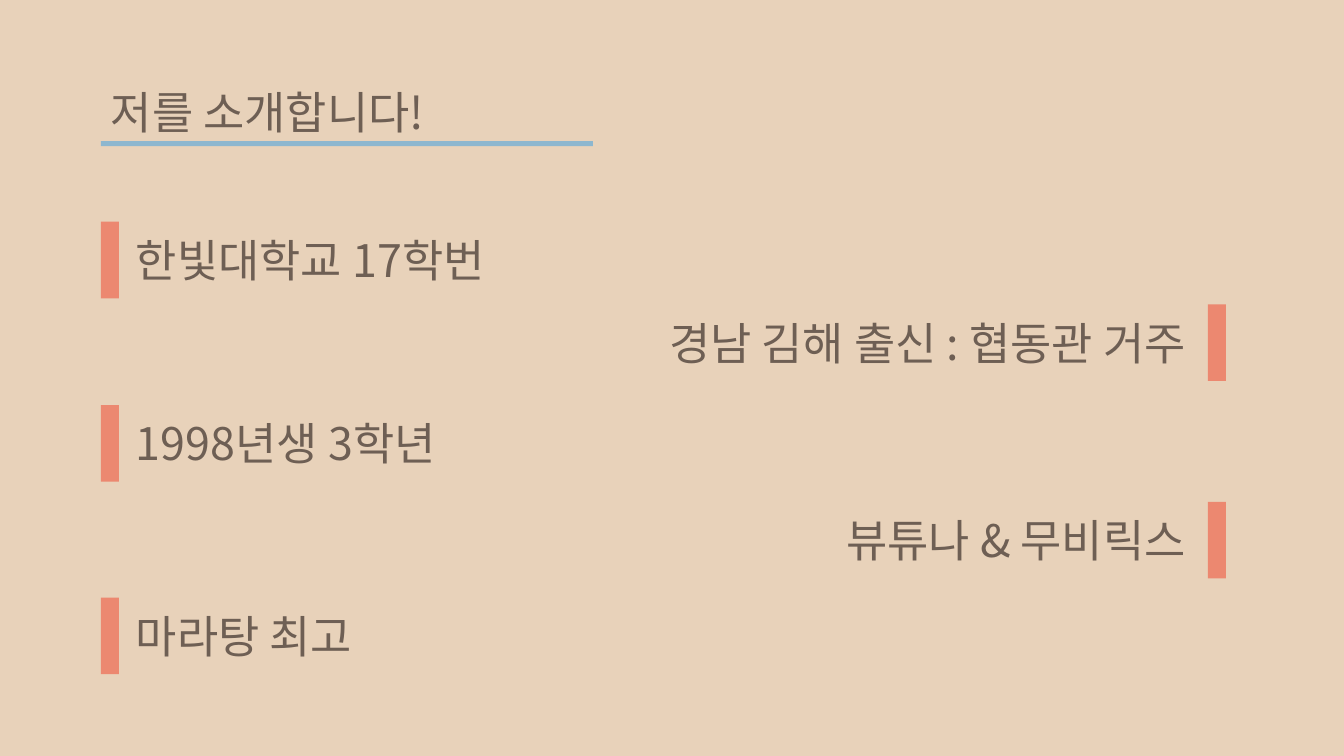
from lxml import etree
from pptx import Presentation
from pptx.dml.color import RGBColor
from pptx.enum.shapes import MSO_SHAPE
from pptx.enum.text import MSO_ANCHOR, MSO_AUTO_SIZE, PP_ALIGN
from pptx.oxml.ns import qn
from pptx.util import Pt

RECT = MSO_SHAPE.RECTANGLE
TOP = MSO_ANCHOR.TOP
NO_FIT = MSO_AUTO_SIZE.NONE
LEFT, RIGHT = PP_ALIGN.LEFT, PP_ALIGN.RIGHT

SCALE = 9144
FONT = "Noto Sans CJK KR"
SAND, CORAL, BLUE, BROWN = "E8D2BA", "EC8870", "8DB7CF", "6E5F54"
TEXT_H = 64
BAR_W, BAR_H = 18, 76

FACTS = [
    ("한빛대학교 17학번", 220, LEFT),
    ("경남 김해 출신 : 협동관 거주", 302, RIGHT),
    ("1998년생 3학년", 402, LEFT),
    ("뷰튜나 & 무비릭스", 498, RIGHT),
    ("마라탕 최고", 593, LEFT),
]


def px(n):
    """Turn px into EMU."""
    return n * SCALE


def paint(fill, color):
    """Give a fill one solid colour."""
    fill.solid()
    fill.fore_color.rgb = RGBColor.from_string(color)


def add_bar(slide, x, y, w, h, color):
    """Draw a plain filled rectangle."""
    sp = slide.shapes.add_shape(RECT, px(x), px(y), px(w), px(h))
    sp.shadow.inherit = False
    paint(sp.fill, color)
    sp.line.fill.background()


def write(sp, text, align=LEFT):
    """Write one formatted line into a shape."""
    tf = sp.text_frame
    tf.text = text
    tf.word_wrap = True
    tf.auto_size = NO_FIT
    tf.vertical_anchor = TOP
    p = tf.paragraphs[0]
    p.alignment = align
    p.line_spacing = 1.0
    p.space_before = Pt(0)
    for r in p.runs:
        r.font.size = Pt(32)
        r.font.name = FONT
        paint(r.font.fill, BROWN)
        etree.SubElement(r.font._element, qn("a:ea"), typeface=FONT)


def add_title(slide, text):
    """Place the underlined title."""
    sp = slide.shapes.title
    sp.left, sp.top, sp.width, sp.height = px(100), px(79), px(599), px(TEXT_H)
    write(sp, text)
    add_bar(slide, 100, 140, 488, 5, BLUE)


def add_fact(slide, text, y, align):
    """Add a fact with its marker bar on the aligned side."""
    bar_x, text_x = (100, 125) if align == LEFT else (1198, 418)
    add_bar(slide, bar_x, y, BAR_W, BAR_H, CORAL)
    text_y = y + (BAR_H - TEXT_H) // 2
    sp = slide.shapes.add_textbox(px(text_x), px(text_y), px(768), px(TEXT_H))
    write(sp, text, align)


def main():
    """Build the self-introduction slide."""
    prs = Presentation()
    prs.slide_width, prs.slide_height = px(1333), px(750)
    slide = prs.slides.add_slide(prs.slide_layouts[5])
    paint(slide.background.fill, SAND)
    add_title(slide, "저를 소개합니다!")
    for text, y, align in FACTS:
        add_fact(slide, text, y, align)
    prs.save("out.pptx")


if __name__ == "__main__":
    main()
